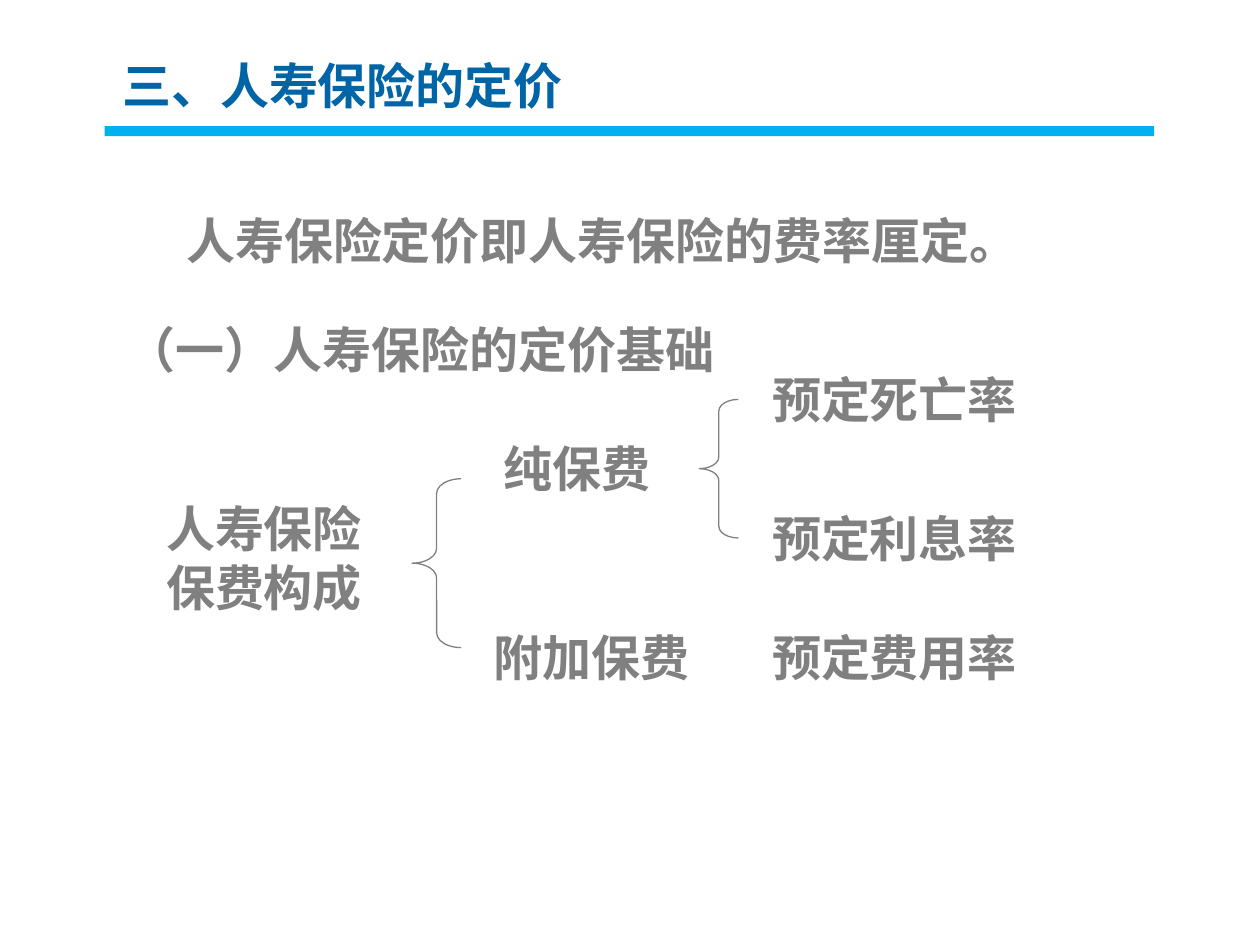
from pptx import Presentation
from pptx import util as u
from pptx.dml.color import RGBColor
from pptx.enum import shapes, text
from pptx.oxml.ns import qn
from lxml import etree

COLORS = {"title": "0065A6", "bar": "00B0F0", "grey": "808080"}
TITLE_FONT = "Noto Sans CJK SC"
BODY_FONT = "DejaVu Sans"
RATE_LEFT = 6.03
BOTTOM_ROW = 4.93

# (left, top, width, height, wording)
LABELS = [
    (0.91, 2.49, 4.86, 0.57, "（一）人寿保险的定价基础"),
    (1.38, 1.62, 6.8, 0.57, "人寿保险定价即人寿保险的费率厘定。"),
    (1.22, 3.91, 1.75, 1.04, "人寿保险\n保费构成"),
    (3.9, 3.43, 1.38, 0.57, "纯保费"),
    (3.82, BOTTOM_ROW, 1.75, 0.57, "附加保费"),
    (RATE_LEFT, 2.88, 2.14, 0.57, "预定死亡率"),
    (RATE_LEFT, 3.99, 2.14, 0.57, "预定利息率"),
    (RATE_LEFT, BOTTOM_ROW, 2.14, 0.57, "预定费用率"),
]
BRACES = [(3.27, 3.8, 0.39, 1.34), (5.55, 3.17, 0.31, 1.1)]


def box(*lengths):
    return [u.Inches(n) for n in lengths]


def rgb(name):
    return RGBColor.from_string(COLORS[name])


def format_text(tf, font, color):
    for p in tf.paragraphs:
        p.alignment = text.PP_ALIGN.LEFT
        for r in p.runs:
            r.font.name = font
            r.font.size = u.Pt(28)
            r.font.bold = True
            r.font.color.rgb = rgb(color)
            # East Asian typeface
            ea = etree.SubElement(r.font._element, qn("a:ea"))
            ea.set("typeface", font)


def add_bar(s):
    sp = s.shapes.add_shape(shapes.MSO_SHAPE.RECTANGLE, *box(0.83, 1, 8.33, 0.08))
    sp.shadow.inherit = False
    sp.fill.solid()
    sp.fill.fore_color.rgb = rgb("bar")
    sp.line.fill.background()


def set_title(s, wording):
    sp = s.shapes.title
    sp.left, sp.top, sp.width, sp.height = box(0.87, 0.39, 9, 1.25)
    tf = sp.text_frame
    tf.text = wording
    tf.vertical_anchor = text.MSO_ANCHOR.TOP
    format_text(tf, TITLE_FONT, "title")


def add_label(s, left, top, width, height, wording):
    tf = s.shapes.add_textbox(*box(left, top, width, height)).text_frame
    tf.word_wrap = False
    tf.auto_size = text.MSO_AUTO_SIZE.SHAPE_TO_FIT_TEXT
    tf.text = wording
    format_text(tf, BODY_FONT, "grey")


def add_brace(s, left, top, width, height):
    sp = s.shapes.add_shape(shapes.MSO_SHAPE.LEFT_BRACE, *box(left, top, width, height))
    sp.shadow.inherit = False
    sp.adjustments[0] = 0.3
    sp.fill.background()
    sp.line.color.rgb = rgb("grey")
    sp.line.width = u.Pt(0.75)


def main():
    prs = Presentation()
    prs.slide_width, prs.slide_height = box(10, 7.5)
    s = prs.slides.add_slide(prs.slide_layouts[5])

    # Heading
    add_bar(s)
    set_title(s, "三、人寿保险的定价")

    # Statement and premium breakdown
    for label in LABELS:
        add_label(s, *label)
    for brace in BRACES:
        add_brace(s, *brace)

    prs.save("out.pptx")


if __name__ == "__main__":
    main()
